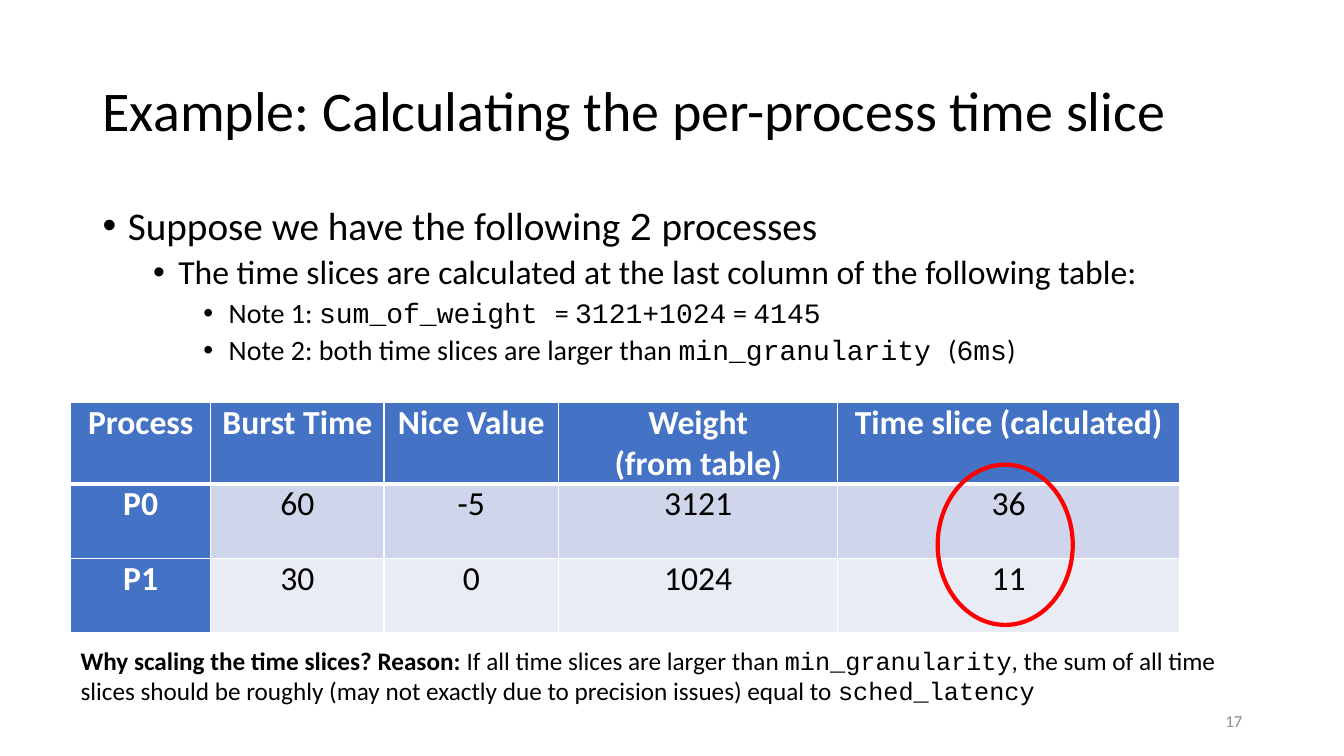
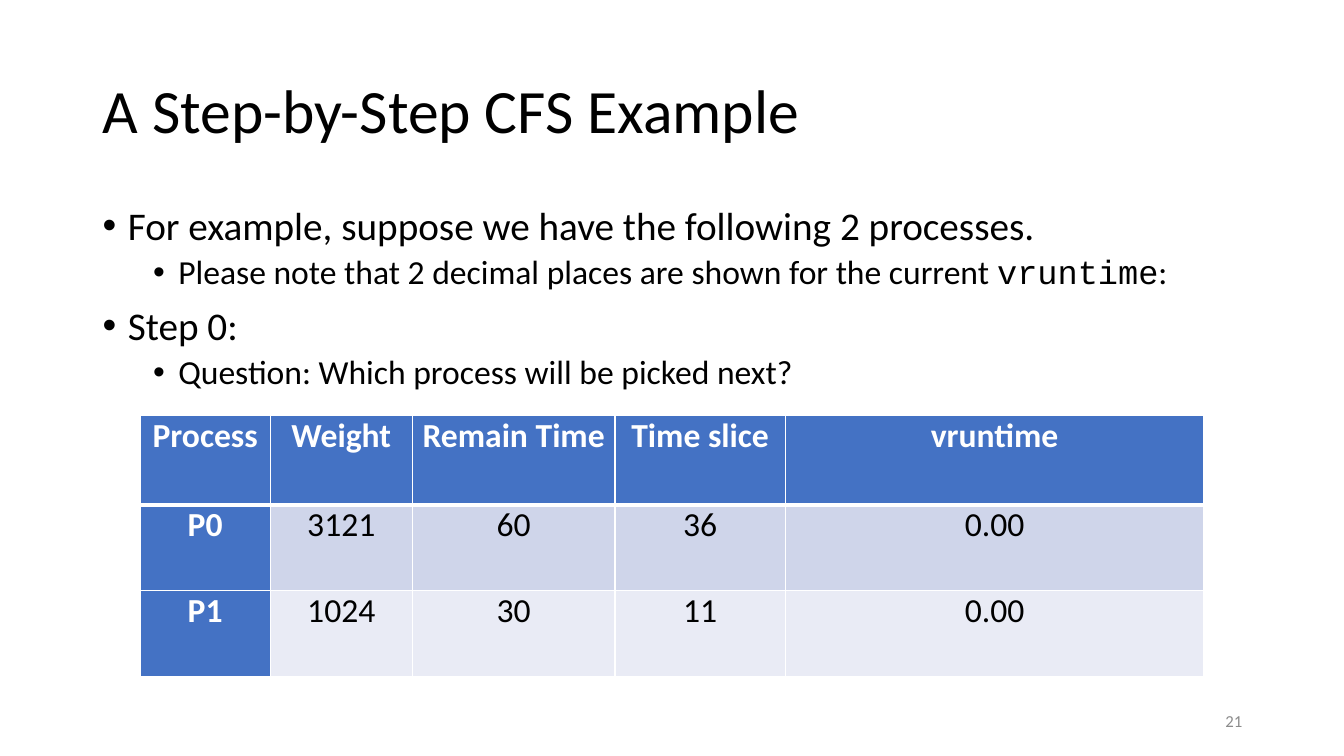
from dataclasses import dataclass

from lxml import etree
from pptx import Presentation
from pptx import util as u
from pptx.dml import color
from pptx.enum import shapes, text
from pptx.oxml import ns

# Text between backticks is set in the code font.
SLIDES = [
    dict(
        title="Example: Calculating the per-process time slice",
        title_size=40,
        number="17",
        bullets=[
            (0, "Suppose we have the following `2` processes"),
            (1, "The time slices are calculated at the last column of the following table:"),
            (2, "Note 1: `sum_of_weight `= `3121+1024` = `4145`"),
            (2, "Note 2: both time slices are larger than `min_granularity `(`6ms`)"),
        ],
        table=dict(
            corner=(0.7, 3.99),
            columns=[1.39, 1.72, 1.73, 2.77, 3.39],
            rows=[0.81, 0.74, 0.74],
            cells=[
                ["Process", "Burst Time", "Nice Value", "Weight\n(from table)",
                 "Time slice (calculated)"],
                ["P0", "60", "-5", "3121", "36"],
                ["P1", "30", "0", "1024", "11"],
            ],
        ),
        highlight=(9.3, 4.61, 1.34, 1.59),
        reason=("Why scaling the time slices? Reason: ",
                "If all time slices are larger than `min_granularity`, the sum of all time "
                "slices should be roughly (may not exactly due to precision issues) equal to "
                "`sched_latency`"),
    ),
    dict(
        title="A Step-by-Step CFS Example",
        title_size=44,
        number="21",
        bullets=[
            (0, "For example, suppose we have the following 2 processes."),
            (1, "Please note that 2 decimal places are shown for the current `vruntime`:"),
            (0, "Step 0:"),
            (1, "Question: Which process will be picked next?"),
        ],
        table=dict(
            corner=(1.39, 4.12),
            columns=[1.29, 1.41, 2.01, 1.69, 4.15],
            rows=[0.89, 0.85, 0.85],
            cells=[
                ["Process", "Weight", "Remain Time", "Time slice", "vruntime"],
                ["P0", "3121", "60", "36", "0.00"],
                ["P1", "1024", "30", "11", "0.00"],
            ],
        ),
    ),
]

SLIDE_SIZE = (13.33, 7.5)
TITLE_BOX = (0.92, 0.4, 11.5, 1.45)
BODY_BOX = (0.92, 2, 11.5, 4.76)
NUMBER_BOX = (9.42, 6.95, 3, 0.4)
REASON_BOX = (0.7, 6.35, 11.51, 0.71)


@dataclass(frozen=True)
class Theme:
    """Colours, fonts and type sizes of the deck."""
    ink: str = "000000"
    paper: str = "FFFFFF"
    muted: str = "8C8C8C"
    header: str = "4472C4"
    bands: tuple = ("CFD5EA", "E9EBF5")
    accent: str = "FF0000"
    font: str = "Calibri"
    code_font: str = "Courier New"
    bullet_sizes: tuple = (28, 24, 20)
    cell_size: int = 24
    reason_size: int = 18
    number_size: int = 12


THEME = Theme()


def rgb(value):
    """Turn a hex string into a colour."""
    return color.RGBColor.from_string(value)


def inches(values):
    """Turn numbers into lengths."""
    return [u.Inches(value) for value in values]


def write(paragraph, content, size, colour=THEME.ink, bold=False, align=None, spacing=None):
    """Add text to a paragraph, with backticked parts in the code font."""
    paragraph.alignment = align
    paragraph.line_spacing = spacing
    for index, part in enumerate(content.split("`")):
        if part:
            run = paragraph.add_run()
            run.text = part
            run.font.name = THEME.code_font if index % 2 else THEME.font
            run.font.size = u.Pt(size)
            run.font.bold = bold
            run.font.color.rgb = rgb(colour)


def add_box(slide, box, anchor=text.MSO_ANCHOR.TOP):
    """Add a wrapping text box and return its text frame."""
    frame = slide.shapes.add_textbox(*inches(box)).text_frame
    frame.word_wrap = True
    frame.vertical_anchor = anchor
    return frame


def next_paragraph(frame, index):
    """Return the first paragraph, or a new one after it."""
    return frame.add_paragraph() if index else frame.paragraphs[0]


def add_bullets(slide, bullets):
    """Add the indented bullet list."""
    frame = add_box(slide, BODY_BOX)
    for index, (level, content) in enumerate(bullets):
        paragraph = next_paragraph(frame, index)
        write(paragraph, content, THEME.bullet_sizes[level], spacing=0.9)
        paragraph.level = level
        paragraph.space_before = u.Pt(5 if level else 10)
        properties = paragraph._p.get_or_add_pPr()
        properties.set("marL", str(u.Inches(0.25 + 0.5 * level)))
        properties.set("indent", str(u.Inches(-0.25)))
        etree.SubElement(properties, ns.qn("a:buFont"), typeface="Arial")
        etree.SubElement(properties, ns.qn("a:buChar"), char="•")


def add_borders(cell, **widths):
    """Draw the four cell edges; widths are in points by side."""
    properties = cell._tc.get_or_add_tcPr()
    for side in "LRTB":
        line = etree.SubElement(properties, ns.qn(f"a:ln{side}"),
                                w=str(u.Pt(widths.get(side, 1))))
        fill = etree.SubElement(line, ns.qn("a:solidFill"))
        etree.SubElement(fill, ns.qn("a:srgbClr"), val=THEME.paper)


def add_table(slide, corner, columns, rows, cells):
    """Add a table with a header row, a header column and banded rows."""
    box = (*corner, sum(columns), sum(rows))
    table = slide.shapes.add_table(len(rows), len(columns), *inches(box)).table
    for column, width in zip(table.columns, inches(columns)):
        column.width = width
    for row, height in zip(table.rows, inches(rows)):
        row.height = height
    for row_index, values in enumerate(cells):
        for column_index, content in enumerate(values):
            cell = table.cell(row_index, column_index)
            heading = row_index == 0 or column_index == 0
            cell.margin_left = cell.margin_right = u.Inches(0.07)
            cell.margin_top = cell.margin_bottom = 0
            add_borders(cell, T=3 if row_index == 1 else 1, B=3 if row_index == 0 else 1)
            cell.fill.solid()
            cell.fill.fore_color.rgb = rgb(
                THEME.header if heading else THEME.bands[(row_index - 1) % 2])
            for index, line in enumerate(content.split("\n")):
                write(next_paragraph(cell.text_frame, index), line, THEME.cell_size,
                      colour=THEME.paper if heading else THEME.ink, bold=heading,
                      align=text.PP_ALIGN.CENTER)


def add_highlight(slide, box):
    """Ring the key values with an unfilled ellipse."""
    ellipse = slide.shapes.add_shape(shapes.MSO_SHAPE.OVAL, *inches(box))
    ellipse.shadow.inherit = False
    ellipse.fill.background()
    ellipse.line.color.rgb = rgb(THEME.accent)
    ellipse.line.width = u.Pt(3)


def add_reason(slide, lead, explanation):
    """Add the closing remark with its bold lead."""
    paragraph = add_box(slide, REASON_BOX).paragraphs[0]
    write(paragraph, lead, THEME.reason_size, bold=True)
    write(paragraph, explanation, THEME.reason_size)


def build_slide(presentation, content):
    """Build one slide from its content."""
    slide = presentation.slides.add_slide(presentation.slide_layouts[6])
    middle = text.MSO_ANCHOR.MIDDLE
    write(add_box(slide, TITLE_BOX, middle).paragraphs[0], content["title"],
          content["title_size"], spacing=0.9)
    add_bullets(slide, content["bullets"])
    write(add_box(slide, NUMBER_BOX, middle).paragraphs[0], content["number"],
          THEME.number_size, colour=THEME.muted, align=text.PP_ALIGN.RIGHT)
    add_table(slide, **content["table"])
    if "highlight" in content:
        add_highlight(slide, content["highlight"])
    if "reason" in content:
        add_reason(slide, *content["reason"])


presentation = Presentation()
presentation.slide_width, presentation.slide_height = inches(SLIDE_SIZE)
for slide_content in SLIDES:
    build_slide(presentation, slide_content)
presentation.save("out.pptx")
